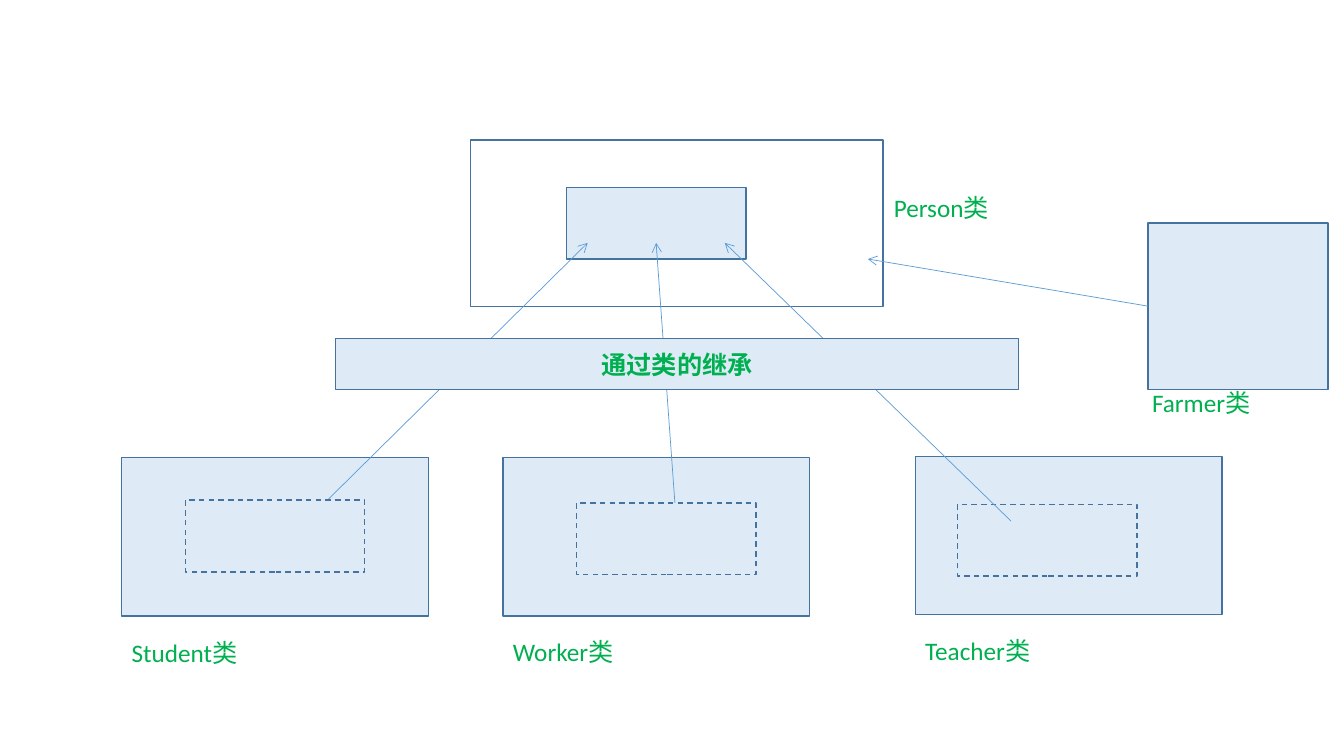
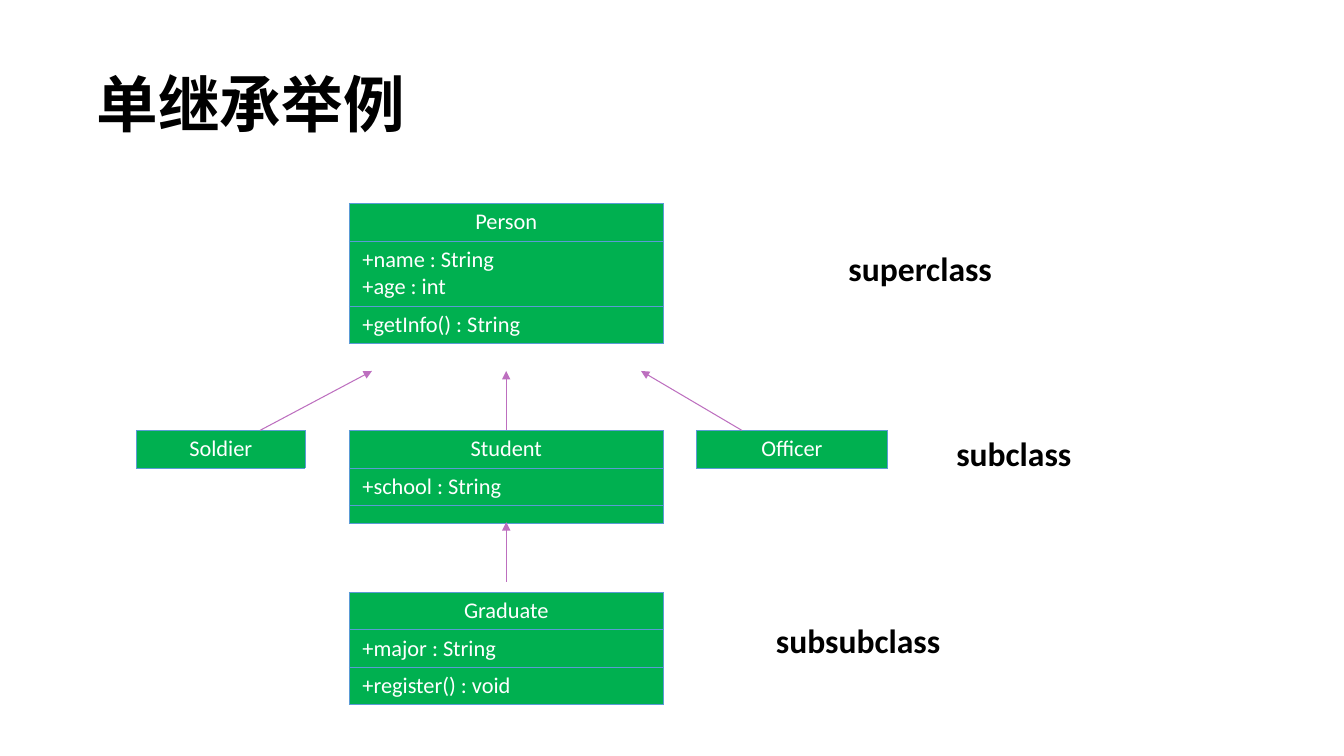
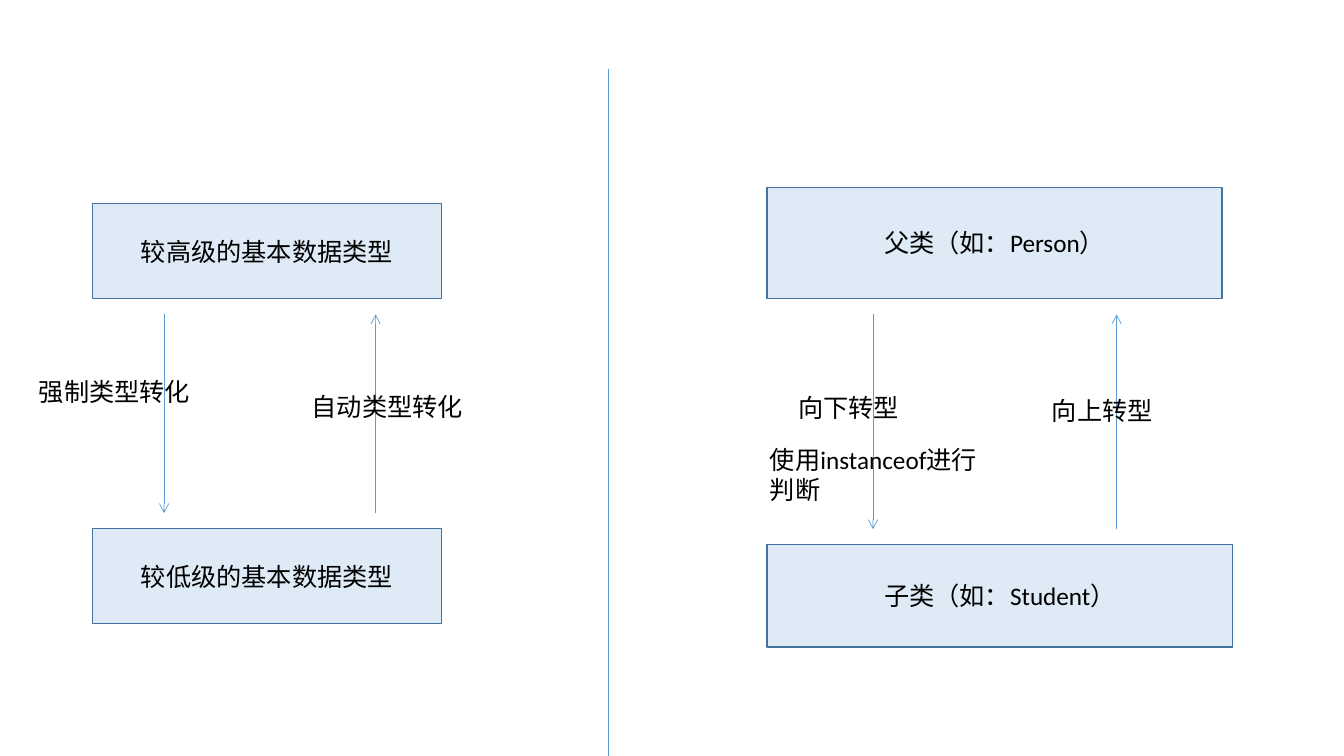
from lxml.etree import SubElement
from pptx import Presentation
from pptx.dml.color import RGBColor
from pptx.enum.dml import MSO_LINE
from pptx.enum.shapes import MSO_CONNECTOR as CONNECTOR, MSO_SHAPE as SHAPE
from pptx.enum.text import MSO_ANCHOR as ANCHOR, MSO_AUTO_SIZE as AUTO_SIZE, PP_ALIGN as ALIGN
from pptx.oxml.ns import qn
from pptx.util import Pt

BLACK = RGBColor(0x00, 0x00, 0x00)
WHITE = RGBColor(0xFF, 0xFF, 0xFF)
GREEN = RGBColor(0x00, 0xB0, 0x50)
PALE_BLUE = RGBColor(0xDE, 0xEB, 0xF7)
OUTLINE_BLUE = RGBColor(0x43, 0x73, 0x9E)
BLUE = RGBColor(0x5B, 0x9B, 0xD5)
PURPLE = RGBColor(0xBD, 0x6F, 0xBF)

TITLE_FORMAT = {"name": "Times New Roman", "size": Pt(44), "bold": True, "color": BLACK}
GREEN_TEXT = {"name": "Calibri", "size": Pt(18), "color": GREEN}
BLACK_TEXT = {**GREEN_TEXT, "color": BLACK}
LEVEL_TEXT = {"name": "Calibri", "size": Pt(24), "bold": True, "color": BLACK}
MEMBER_TEXT = {"name": "Calibri", "size": Pt(16), "color": WHITE}
CELL_MARGINS = {"margin_left": Pt(9.4), "margin_right": Pt(9.4),
                "margin_top": Pt(3.6), "margin_bottom": Pt(3.6)}
NO_MARGINS = dict.fromkeys(CELL_MARGINS, 0)

LINE_HEIGHT, CELL_PADDING, EMPTY_ROW = 19.5, 7.2, 12.9
CLASS_SIZE = (219, 113)
MEMBERS_SIZE = (128.2, 51.2)


def points(*lengths):
    return [Pt(length) for length in lengths]


def format_font(font, values):
    for attribute, value in values.items():
        if attribute == "color":
            font.color.rgb = value
        else:
            setattr(font, attribute, value)


def write(paragraph, text, values, align=None):
    run = paragraph.add_run()
    run.text = text
    format_font(run.font, values)
    paragraph.alignment = align


def add_box(slide, left, top, width, height, text="", values=None, fill=PALE_BLUE, dash=None):
    box = slide.shapes.add_shape(SHAPE.RECTANGLE, *points(left, top, width, height))
    box.shadow.inherit = False
    if fill is None:
        box.fill.background()
    else:
        box.fill.solid()
        box.fill.fore_color.rgb = fill
    box.line.color.rgb = OUTLINE_BLUE
    box.line.width = Pt(1)
    if dash:
        box.line.dash_style = dash
    if text:
        box.text_frame.vertical_anchor = ANCHOR.MIDDLE
        write(box.text_frame.paragraphs[0], text, values, ALIGN.CENTER)
    return box


def add_label(slide, text, left, top, width, values, height=29):
    frame = slide.shapes.add_textbox(*points(left, top, width, height)).text_frame
    frame.word_wrap = True
    frame.auto_size = AUTO_SIZE.SHAPE_TO_FIT_TEXT
    write(frame.paragraphs[0], text, values)


def add_line(slide, start, end, color=BLUE, width=0.5, head="arrow"):
    """Draw a straight line; head is the arrowhead kind at its end, or None."""
    line = slide.shapes.add_connector(CONNECTOR.STRAIGHT, *points(*start, *end))
    line.line.color.rgb = color
    line.line.width = Pt(width)
    properties = line._element.spPr
    if head:
        SubElement(properties.find(qn("a:ln")), qn("a:tailEnd"), type=head)
    SubElement(properties, qn("a:effectLst"))
    return line


def add_cell_borders(cell):
    properties = cell._tc.get_or_add_tcPr()
    for position, side in enumerate(("a:lnL", "a:lnR", "a:lnT", "a:lnB")):
        border = SubElement(properties, qn(side), w=str(Pt(0.5)))
        properties.insert(position, border)
        fill = SubElement(border, qn("a:solidFill"))
        SubElement(fill, qn("a:srgbClr"), val=str(BLUE))


def add_class_table(slide, left, top, width, name, *sections):
    """Draw a class diagram: its name, then one row for each list of members."""
    rows = [[name], *sections]
    heights = [CELL_PADDING + LINE_HEIGHT * len(row) if row else EMPTY_ROW for row in rows]
    table = slide.shapes.add_table(
        len(rows), 1, *points(left, top, width, sum(heights))).table
    table.first_row = table.horz_banding = False
    for index, (members, height) in enumerate(zip(rows, heights)):
        table.rows[index].height = Pt(height)
        cell = table.cell(index, 0)
        cell.fill.solid()
        cell.fill.fore_color.rgb = GREEN
        cell.vertical_anchor = ANCHOR.MIDDLE
        for attribute, value in (CELL_MARGINS if members else NO_MARGINS).items():
            setattr(cell, attribute, value)
        add_cell_borders(cell)
        frame = cell.text_frame
        for number, member in enumerate(members):
            paragraph = frame.add_paragraph() if number else frame.paragraphs[0]
            write(paragraph, member, MEMBER_TEXT, None if index else ALIGN.CENTER)
        if not members:
            SubElement(frame.paragraphs[0]._p, qn("a:endParaRPr"), sz="1000")


def add_title(slide, text, left, top, width, height):
    title = slide.shapes.title
    title.left, title.top, title.width, title.height = points(left, top, width, height)
    frame = title.text_frame
    frame.auto_size = AUTO_SIZE.NONE
    frame.vertical_anchor = ANCHOR.MIDDLE
    frame.paragraphs[0].line_spacing = 0.9
    write(frame.paragraphs[0], text, TITLE_FORMAT, ALIGN.LEFT)


def build_class_inheritance(slide):
    add_box(slide, 336.2, 100, 294.6, 118.8, fill=None)
    for name, left, top, label_top in (("Student", 87, 327, 451.4),
                                       ("Worker", 359.3, 327, 450.7),
                                       ("Teacher", 653.8, 326.2, 450)):
        add_box(slide, left, top, *CLASS_SIZE)
        add_label(slide, name + "类", left, label_top, CLASS_SIZE[0], GREEN_TEXT)

    add_box(slide, 684, 360.2, *MEMBERS_SIZE, dash=MSO_LINE.DASH)
    add_box(slide, 404.6, 133.9, *MEMBERS_SIZE)
    for start, end_x in (((230.4, 360.7), 419.8),
                         ((483.8, 383), 468.7),
                         ((722.2, 372.2), 517.7)):
        add_line(slide, start, (end_x, 173.5))
    for left, top in ((411.8, 359.4), (132.3, 357.3)):
        add_box(slide, left, top, *MEMBERS_SIZE, dash=MSO_LINE.DASH)

    add_label(slide, "Person类", 631.4, 133.9, 188.6, GREEN_TEXT)
    add_box(slide, 239.8, 241.9, 487.6, 36.4, "通过类的继承", {**GREEN_TEXT, "bold": True})
    farmer = add_box(slide, 820.1, 159.3, 128.4, 118.8)
    add_label(slide, "Farmer类", 815.8, 272.9, 144, GREEN_TEXT)
    add_line(slide, (820.1, 218.7), (619.9, 185)).begin_connect(farmer, 1)


def build_single_inheritance(slide):
    add_title(slide, "单继承举例", 61.9, 48.2, 409.7, 56.9)
    column_left, column_width, subclass_top = 249.5, 224.3, 307.4
    add_class_table(slide, column_left, 145.4, column_width, "Person",
                    ["+name : String", "+age : int"], ["+getInfo() : String"])
    add_class_table(slide, column_left, subclass_top, column_width, "Student",
                    ["+school : String"], [])
    add_class_table(slide, 97.6, subclass_top, 120.2, "Soldier")
    add_class_table(slide, 497.5, subclass_top, 136.4, "Officer")
    add_class_table(slide, column_left, 423, column_width, "Graduate",
                    ["+major : String"], ["+register() : void"])

    for start_x, end_x, start_y in ((361.6, 361.6, subclass_top),
                                    (529.9, 457.9, subclass_top),
                                    (185.8, 265.7, subclass_top),
                                    (361.6, 361.6, 415.4)):
        add_line(slide, (start_x, start_y), (end_x, start_y - 42.4), PURPLE, 0.75, "triangle")

    for level, left, top, width in (("superclass", 599, 173.5, 200),
                                    ("subclass", 676, 306, 150),
                                    ("subsubclass", 547.2, 439.5, 192)):
        add_label(slide, level, left, top, width, LEVEL_TEXT, 36)


def build_type_conversion(slide):
    for text, *place in (("较高级的基本数据类型", 66, 145.4, 249.4, 67.9),
                         ("较低级的基本数据类型", 66, 377.6, 249.4, 67.9),
                         ("父类（如：Person）", 547.9, 133.9, 325, 79.2),
                         ("子类（如：Student）", 547.9, 388.8, 332.6, 73.4)):
        add_box(slide, *place, text, BLACK_TEXT)

    upper, basic_lower, class_lower = 224.6, 366.5, 378
    for x, start_y, end_y in ((268.3, basic_lower, upper), (117.2, upper, basic_lower),
                              (797.6, class_lower, upper), (623.6, upper, class_lower)):
        add_line(slide, (x, start_y), (x, end_y))
    add_line(slide, (434.7, 49), (434.7, 540), head=None)

    for text, left, top, width in (("自动类型转化", 215.5, 275.8, 166.3),
                                   ("强制类型转化", 20.7, 265.4, 190.8),
                                   ("向上转型", 744.3, 278.6, 166.3),
                                   ("向下转型", 563, 276.5, 166.3),
                                   ("使用instanceof进行判断", 542.9, 313.9, 173.5)):
        add_label(slide, text, left, top, width, BLACK_TEXT)


def main():
    deck = Presentation()
    deck.slide_width, deck.slide_height = points(960, 540)
    title_only, blank = deck.slide_layouts[5], deck.slide_layouts[6]
    for layout, build in ((blank, build_class_inheritance),
                          (title_only, build_single_inheritance),
                          (blank, build_type_conversion)):
        build(deck.slides.add_slide(layout))
    deck.save("out.pptx")


if __name__ == "__main__":
    main()
